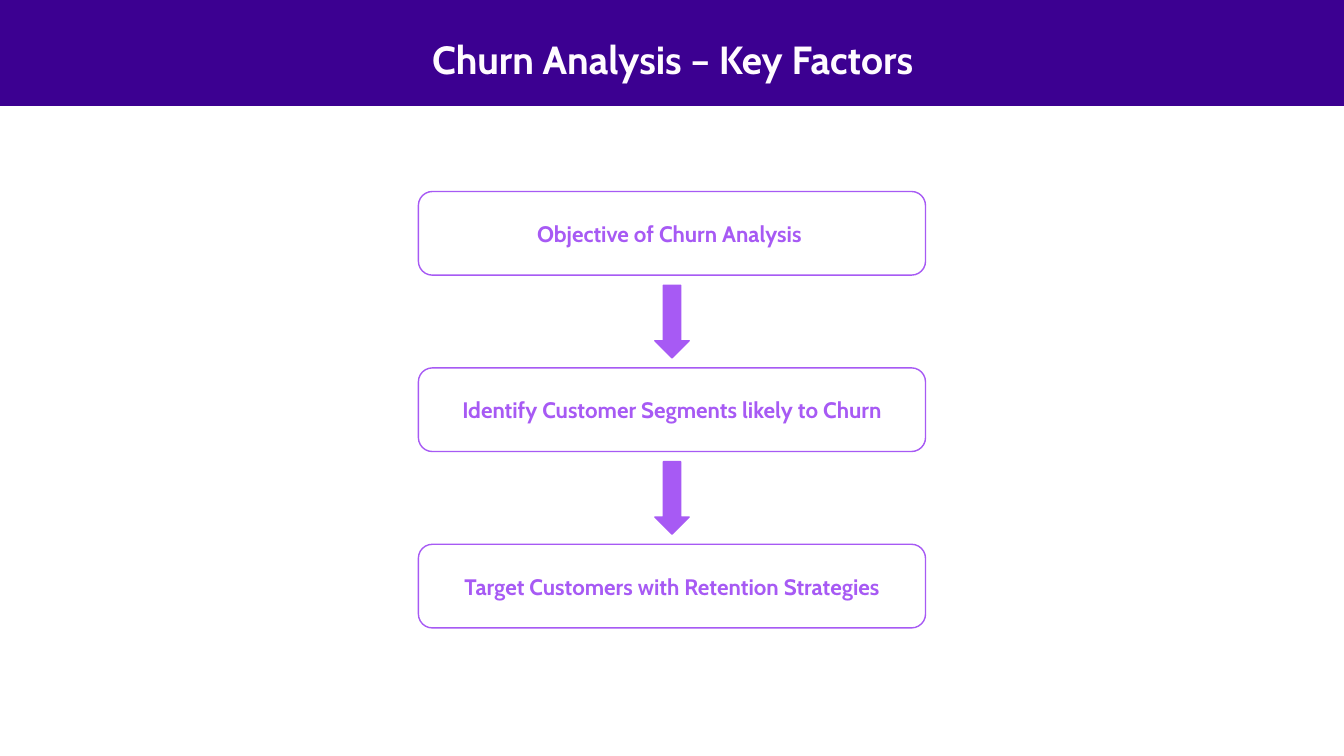
from pptx import Presentation
from pptx.dml.color import RGBColor
from pptx.enum.shapes import MSO_SHAPE
from pptx.enum.text import MSO_ANCHOR, PP_ALIGN
from pptx.util import Inches, Pt

INDIGO, VIOLET, WHITE, TITLE_WHITE = "3C0091", "A75AF4", "FFFFFF", "FFFBFF"
STEPS = [
    "Objective of Churn Analysis ",
    "Identify Customer Segments likely to Churn",
    "Target Customers with Retention Strategies",
]
STEP_LEFT, STEP_TOP, STEP_WIDTH, STEP_HEIGHT, STEP_PITCH = 4.15, 1.9, 5.03, 0.83, 1.75
ARROW_LENGTH, ARROW_BREADTH = 0.72, 0.34

prs = Presentation()
prs.slide_width, prs.slide_height = Inches(13.33), Inches(7.5)
slide = prs.slides.add_slide(prs.slide_layouts[6])


def add_block(kind, left, top, width, height, fill, line=None):
    block = slide.shapes.add_shape(
        kind, Inches(left), Inches(top), Inches(width), Inches(height))
    block.shadow.inherit = False
    block.fill.solid()
    block.fill.fore_color.rgb = RGBColor.from_string(fill)
    if line:
        block.line.color.rgb = RGBColor.from_string(line)
        block.line.width = Pt(1)
    else:
        block.line.fill.background()
    return block


def write_centred(frame, text, size, color):
    frame.word_wrap = True
    paragraph = frame.paragraphs[0]
    paragraph.text = text
    paragraph.alignment = PP_ALIGN.CENTER
    paragraph.font.name = "Cabin"
    paragraph.font.size = Pt(size)
    paragraph.font.bold = True
    paragraph.font.color.rgb = RGBColor.from_string(color)


add_block(MSO_SHAPE.RECTANGLE, 0, 0, 13.33, 1.05, INDIGO)
title = slide.shapes.add_textbox(Inches(1.59), Inches(0.3), Inches(10.16), Inches(0.57))
write_centred(title.text_frame, "Churn Analysis – Key Factors", 28, TITLE_WHITE)

for index, label in enumerate(STEPS):
    top = STEP_TOP + index * STEP_PITCH
    step = add_block(MSO_SHAPE.ROUNDED_RECTANGLE, STEP_LEFT, top,
                     STEP_WIDTH, STEP_HEIGHT, WHITE, VIOLET)
    step.text_frame.vertical_anchor = MSO_ANCHOR.MIDDLE
    write_centred(step.text_frame, label, 16, VIOLET)

    if index < len(STEPS) - 1:
        gap_middle = top + (STEP_HEIGHT + STEP_PITCH) / 2
        arrow = add_block(MSO_SHAPE.RIGHT_ARROW,
                          STEP_LEFT + (STEP_WIDTH - ARROW_LENGTH) / 2,
                          gap_middle - ARROW_BREADTH / 2,
                          ARROW_LENGTH, ARROW_BREADTH, VIOLET, VIOLET)
        arrow.rotation = 90

prs.save("out.pptx")
